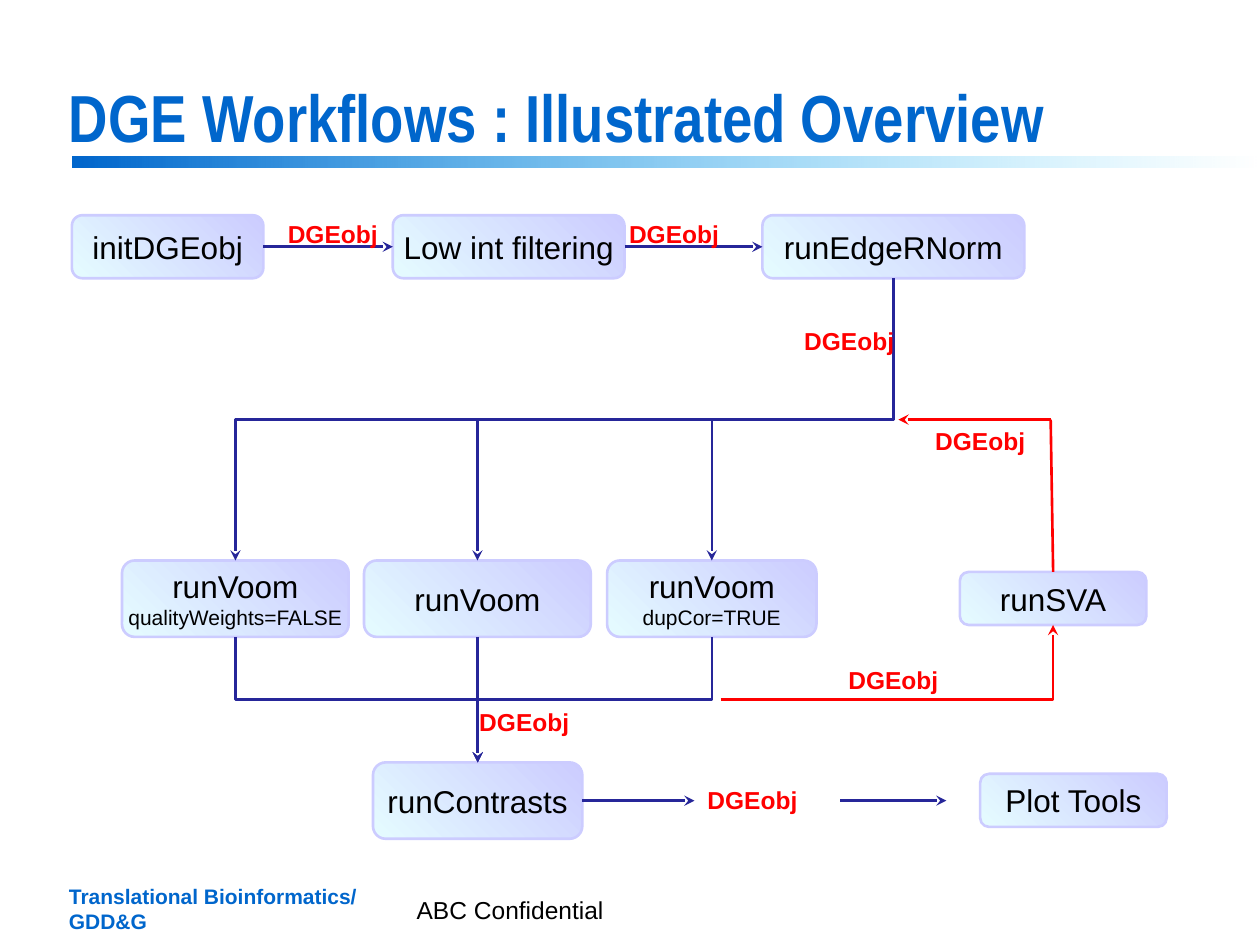
from lxml import etree
from pptx import Presentation
from pptx.dml.color import RGBColor
from pptx.enum.shapes import MSO_CONNECTOR, MSO_SHAPE
from pptx.enum.text import MSO_ANCHOR, PP_ALIGN
from pptx.oxml.ns import qn
from pptx.util import Cm, Pt

RECT, ROUND = MSO_SHAPE.RECTANGLE, MSO_SHAPE.ROUNDED_RECTANGLE
STRAIGHT, ELBOW = MSO_CONNECTOR.STRAIGHT, MSO_CONNECTOR.ELBOW
TOP, MIDDLE, BOTTOM = MSO_ANCHOR.TOP, MSO_ANCHOR.MIDDLE, MSO_ANCHOR.BOTTOM
LEFT, CENTER = PP_ALIGN.LEFT, PP_ALIGN.CENTER
COLORS = {"blue": "0066CC", "sky": "33CCFF", "pale": "E5FCFF",
          "lilac": "CCCCFF", "navy": "262699", "red": "FF0000",
          "black": "000000"}


def rgb(name):
    return RGBColor.from_string(COLORS[name])


def mid(box):
    return box.left + box.width // 2


def low(box):
    return box.top + box.height


def side(box):
    return box.left + box.width, box.top + box.height // 2


class Flow:
    def __init__(self, slide):
        self.shapes = slide.shapes

    def blend(self, shape, first, last, angle):
        shape.shadow.inherit = False
        shape.fill.gradient()
        shape.fill.gradient_angle = angle
        stops = shape.fill.gradient_stops
        for stop, name, place in zip(stops, (first, last), (0, 1)):
            stop.color.rgb = rgb(name)
            stop.position = place

    def label(self, shape, lines, sizes, color="black", font="Arial",
              bold=False, align=LEFT, anchor=MIDDLE, wrap=False):
        frame = shape.text_frame
        frame.text = "\n".join(lines)
        frame.word_wrap = wrap
        frame.vertical_anchor = anchor
        for para, size in zip(frame.paragraphs, sizes):
            para.alignment = align
            style = para.runs[0].font
            style.name, style.size, style.bold = font, Pt(size), bold
            style.color.rgb = rgb(color)
        return frame

    def text(self, x, y, w, h, lines, sizes, **style):
        box = self.shapes.add_textbox(Cm(x), Cm(y), Cm(w), Cm(h))
        return self.label(box, lines, sizes, **style)

    def bar(self, x, y, w, h):
        bar = self.shapes.add_shape(RECT, Cm(x), Cm(y), Cm(w), Cm(h))
        self.blend(bar, "blue", "sky", 0)
        bar.line.fill.background()
        tint = list(bar.element.iter(qn("a:srgbClr")))[-1]
        etree.SubElement(tint, qn("a:alpha")).set("val", "0")

    def step(self, x, y, w, h, *lines):
        box = self.shapes.add_shape(ROUND, Cm(x), Cm(y), Cm(w), Cm(h))
        self.blend(box, "pale", "lilac", 45)
        box.line.color.rgb = rgb("lilac")
        box.line.width = Pt(1.5)
        frame = self.label(box, lines, (18, 12), align=CENTER)
        frame.margin_left = frame.margin_right = 0
        frame.margin_top = frame.margin_bottom = 0
        return box

    def tag(self, x, y):
        self.text(x, y, 2.34, 0.86, ["DGEobj"], [14], color="red",
                  bold=True, align=CENTER, anchor=TOP)

    def line(self, start, end, color="navy", kind=STRAIGHT, head=True):
        link = self.shapes.add_connector(kind, *start, *end)
        link.line.color.rgb = rgb(color)
        link.line.width = Pt(1.5)
        props = link.element.spPr
        if head:
            tail = etree.SubElement(props.find(qn("a:ln")), qn("a:tailEnd"))
            tail.set("type", "stealth")
        etree.SubElement(props, qn("a:effectLst"))
        return link

    def drop(self, upper, lower):
        """Leave downwards, cross over halfway, arrive downwards."""
        x1, y1, x2, y2 = mid(upper), low(upper), mid(lower), lower.top
        cx, cy = (x1 + x2) // 2, (y1 + y2) // 2
        long, wide = (y2 - y1) // 2, abs(x2 - x1) // 2
        turn = 90
        if x2 > x1:
            long, turn = -long, 270
        link = self.line((cx - long, cy - wide), (cx + long, cy + wide),
                         kind=ELBOW)
        link.element.spPr.find(qn("a:xfrm")).set("rot", str(turn * 60000))

    def corner(self, start, end, color):
        link = self.line(start, end, color, ELBOW)
        link.element.spPr.find(qn("a:prstGeom")).set("prst", "bentConnector2")


deck = Presentation()
deck.slide_width, deck.slide_height = Cm(25.4), Cm(19.05)
flow = Flow(deck.slides.add_slide(deck.slide_layouts[6]))

# Title and footer
flow.bar(1.47, 3.15, 23.93, 0.23)
title = flow.text(1.14, 1.65, 23.34, 1.63,
                  ["DGE Workflows : Illustrated Overview"], [38],
                  color="blue", font="Arial Narrow", bold=True,
                  anchor=BOTTOM, wrap=True)
title.paragraphs[0].line_spacing = 0.85
flow.text(1.14, 17.68, 6.38, 1.27, ["Translational Bioinformatics/", "GDD&G"],
          [12, 12], color="blue", bold=True)
flow.text(8.15, 17.91, 9.09, 0.84, ["ABC Confidential"], [14], wrap=True)

# Steps
start = flow.step(1.45, 4.34, 3.86, 1.27, "initDGEobj")
sift = flow.step(7.92, 4.34, 4.67, 1.27, "Low int filtering")
norm = flow.step(15.37, 4.34, 5.28, 1.27, "runEdgeRNorm")
vooms = [flow.step(x, 11.3, w, 1.54, "runVoom", *note) for x, w, note in (
    (2.46, 4.57, ["qualityWeights=FALSE"]),
    (7.34, 4.57, []),
    (12.24, 4.22, ["dupCor=TRUE"]))]
sva = flow.step(19.35, 11.53, 3.76, 1.07, "runSVA")
trast = flow.step(7.52, 15.37, 4.22, 1.54, "runContrasts")
flow.step(19.76, 15.6, 3.76, 1.07, "Plot Tools")

# Main path
for box, after in ((start, sift), (sift, norm)):
    flow.line(side(box), (after.left, side(after)[1]))
for voom in vooms:
    flow.drop(norm, voom)
    if abs(mid(voom) - mid(trast)) < Cm(0.1):
        flow.line((mid(trast), low(voom)), (mid(trast), trast.top))
    else:
        flow.drop(voom, trast)
level = side(trast)[1]
flow.line(side(trast), (Cm(14), level))
flow.line((Cm(16.94), level), (Cm(19.08), level))

# Loop through runSVA
bend = (Cm(21.18), Cm(8.46))
flow.corner((Cm(14.53), Cm(14.1)), (mid(sva), low(sva)), "red")
flow.line((mid(sva), sva.top), bend, "red", head=False)
flow.line(bend, (Cm(18.11), bend[1]), "red")

# Data tags
for x, y in ((5.54, 4.29), (12.42, 4.29), (15.95, 6.45), (14, 15.7),
             (9.4, 14.12), (16.84, 13.28), (18.59, 8.46)):
    flow.tag(x, y)

deck.save("out.pptx")
